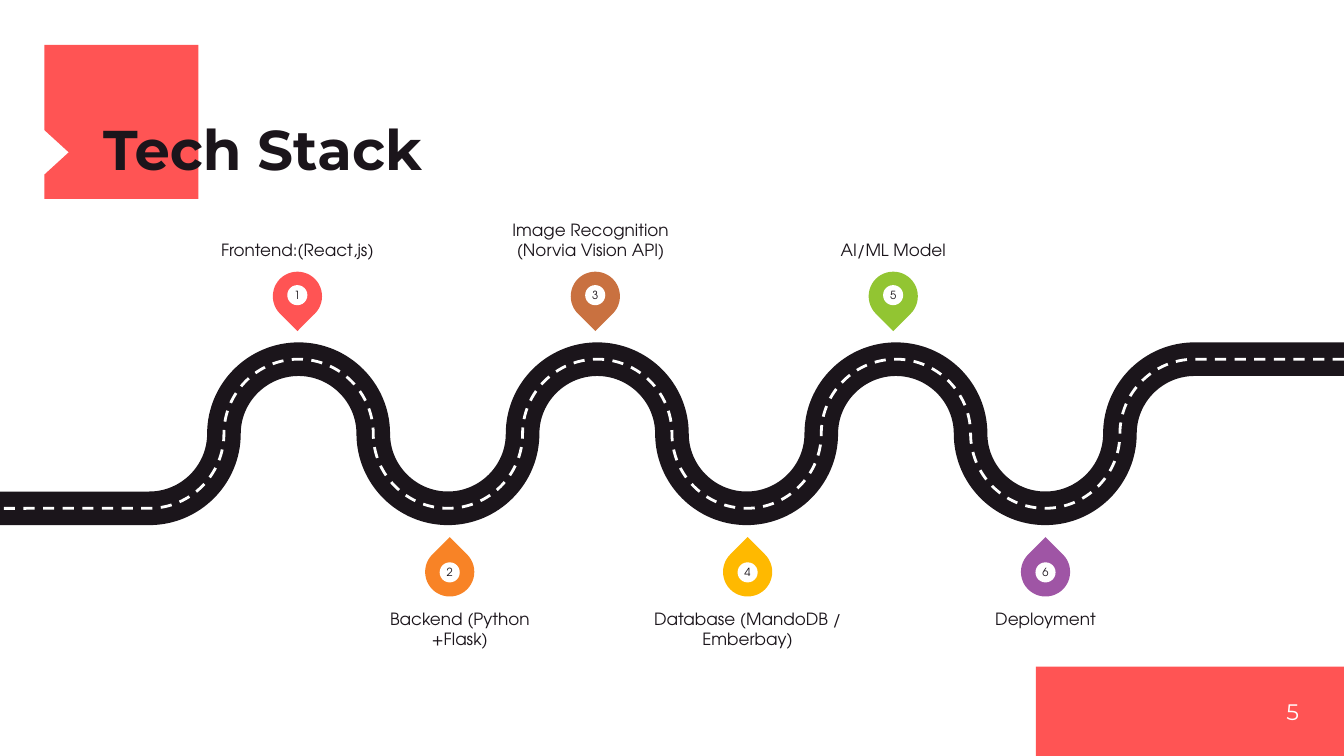
from lxml.etree import SubElement
from pptx import Presentation
from pptx.dml.color import RGBColor
from pptx.enum.dml import MSO_LINE_DASH_STYLE as Dash
from pptx.enum.shapes import MSO_SHAPE as Shape
from pptx.enum.text import MSO_ANCHOR as Anchor, MSO_AUTO_SIZE as AutoSize, PP_ALIGN as Align
from pptx.oxml.ns import qn
from pptx.util import Cm, Pt

TITLE = "Tech Stack"
PAGE = "5"
STEPS = [
    {"text": "Frontend:(React,js)", "color": "FF5454", "nudge": 0},
    {"text": "Backend (Python +Flask)", "color": "F88326", "nudge": 0.19},
    {"text": "Image Recognition (Norvia Vision API)", "color": "C97140", "nudge": -0.09},
    {"text": "Database (MandoDB / Emberbay)", "color": "FFB900", "nudge": 0},
    {"text": "AI/ML Model", "color": "92C532", "nudge": 0},
    {"text": "Deployment", "color": "9F55A5", "nudge": 0},
]
ROAD_LINES = [
    {"color": "ink", "width": 18, "dash": None},
    {"color": "paper", "width": 1.5, "dash": Dash.DASH},
]
THEME = {
    "ink": "1B151B", "paper": "FFFFFF", "accent": "FF5454",
    "head": "Montserrat", "body": "TeX Gyre Adventor",
    "title": 30, "page": 12, "label": 9, "number": 6,
}

WIDTH, HEIGHT = 25.4, 14.29
BEND = WIDTH / 9
MIDDLE, RADIUS = 8.2, 1.41
CURVE = 0.55
PIN, DOT, PIN_PITCH = 0.93, 0.38, 5.63
LABEL_W, LABEL_H = 3.58, 1.47
ABOVE = {"x": 5.62, "pin": 5.6, "dot": 5.58, "label": 3.44, "turn": 135, "anchor": Anchor.BOTTOM}
BELOW = {"x": 8.5, "pin": 10.81, "dot": 10.82, "label": 11.5, "turn": 315, "anchor": Anchor.TOP}


def rgb(name):
    return RGBColor.from_string(THEME.get(name, name))


def paint(sp, color):
    sp.shadow.inherit = False
    sp.fill.solid()
    sp.fill.fore_color.rgb = rgb(color)
    sp.line.fill.background()


def write(sp, text, size, font="body", color="ink", align=Align.CENTER, anchor=Anchor.MIDDLE, bold=False):
    tf = sp.text_frame
    frame = {"margin_left": 0, "margin_top": 0, "margin_right": 0, "margin_bottom": 0,
             "word_wrap": True, "auto_size": AutoSize.NONE, "vertical_anchor": anchor}
    for key, value in frame.items():
        setattr(tf, key, value)
    p = tf.paragraphs[0]
    p.alignment = align
    r = p.add_run()
    r.text = text
    for key, value in {"name": THEME[font], "size": Pt(THEME[size]), "bold": bold}.items():
        setattr(r.font, key, value)
    r.font.color.rgb = rgb(color)
    return p


def outline(shapes, points, close):
    pts = [(Cm(x), Cm(y)) for x, y in points]
    builder = shapes.build_freeform(*pts[0])
    builder.add_line_segments(pts[1:], close=close)
    return builder.convert_to_shape()


def centred(shapes, kind, x, y, size, color):
    sp = shapes.add_shape(kind, Cm(x - size / 2), Cm(y - size / 2), Cm(size), Cm(size))
    paint(sp, color)
    return sp


def road_points():
    top, bottom = MIDDLE - RADIUS, MIDDLE + RADIUS
    points = [(WIDTH, top)]
    for k in range(8, 0, -1):
        points.append((k * BEND, bottom if k % 2 else top))
        if k > 1:
            points.append(((k - 0.5) * BEND, MIDDLE))
    return points + [(0, bottom)]


def bend_road(sp, points):
    top = MIDDLE - RADIUS
    segments = list(sp._element.iter(qn("a:lnTo")))
    for i, seg in enumerate(segments[1:-1], 1):
        (x0, y0), (x1, y1) = points[i], points[i + 1]
        dx, dy = CURVE * (x1 - x0), CURVE * (y1 - y0)
        if y0 == MIDDLE:
            controls = [(x0, y0 + dy), (x1 - dx, y1)]
        else:
            controls = [(x0 + dx, y0), (x1, y1 - dy)]
        seg.tag = qn("a:cubicBezTo")
        for pt in list(seg):
            seg.remove(pt)
        for x, y in controls + [(x1, y1)]:
            SubElement(seg, qn("a:pt"), x=str(Cm(x)), y=str(Cm(y - top)))


def add_frame(s):
    flag = [(0.84, 0.85), (3.75, 0.85), (3.75, 3.76), (0.84, 3.76), (0.84, 3.3), (1.3, 2.88), (0.84, 2.46)]
    paint(outline(s.shapes, flag, True), "accent")
    left, top = 19.58, 12.6
    paint(s.shapes.add_shape(Shape.RECTANGLE, Cm(left), Cm(top), Cm(WIDTH - left), Cm(HEIGHT - top)), "accent")

    title = s.shapes.title
    for key, value in {"left": 1.95, "top": 2.33, "width": 14.25, "height": 1.09}.items():
        setattr(title, key, Cm(value))
    p = write(title, TITLE, "title", "head", align=Align.LEFT, anchor=Anchor.BOTTOM, bold=True)
    p.line_spacing = 0.8
    s.shapes._spTree.append(title._element)

    page = s.shapes.add_textbox(Cm(22.86), Cm(top), Cm(1.69), Cm(HEIGHT - top))
    write(page, PAGE, "page", "head", "paper", Align.RIGHT)


def add_road(s):
    points = road_points()
    for spec in ROAD_LINES:
        sp = outline(s.shapes, points, False)
        bend_road(sp, points)
        sp.shadow.inherit = False
        sp.fill.background()
        sp.line.color.rgb = rgb(spec["color"])
        sp.line.width = Pt(spec["width"])
        if spec["dash"]:
            sp.line.dash_style = spec["dash"]


def add_steps(s):
    for i, step in enumerate(STEPS):
        row = BELOW if i % 2 else ABOVE
        x = row["x"] + i // 2 * PIN_PITCH
        pin = s.shapes.add_group_shape()
        drop = centred(pin.shapes, Shape.TEAR, x, row["pin"], PIN, step["color"])
        drop.rotation = row["turn"]
        write(centred(pin.shapes, Shape.OVAL, x, row["dot"], DOT, "paper"), str(i + 1), "number")

        left = x + step["nudge"] - LABEL_W / 2
        label = s.shapes.add_textbox(Cm(left), Cm(row["label"]), Cm(LABEL_W), Cm(LABEL_H))
        write(label, step["text"], "label", anchor=row["anchor"])


def main():
    prs = Presentation()
    prs.slide_width, prs.slide_height = Cm(WIDTH), Cm(HEIGHT)
    s = prs.slides.add_slide(prs.slide_layouts[5])
    add_frame(s)
    add_road(s)
    add_steps(s)
    prs.save("out.pptx")


if __name__ == "__main__":
    main()
